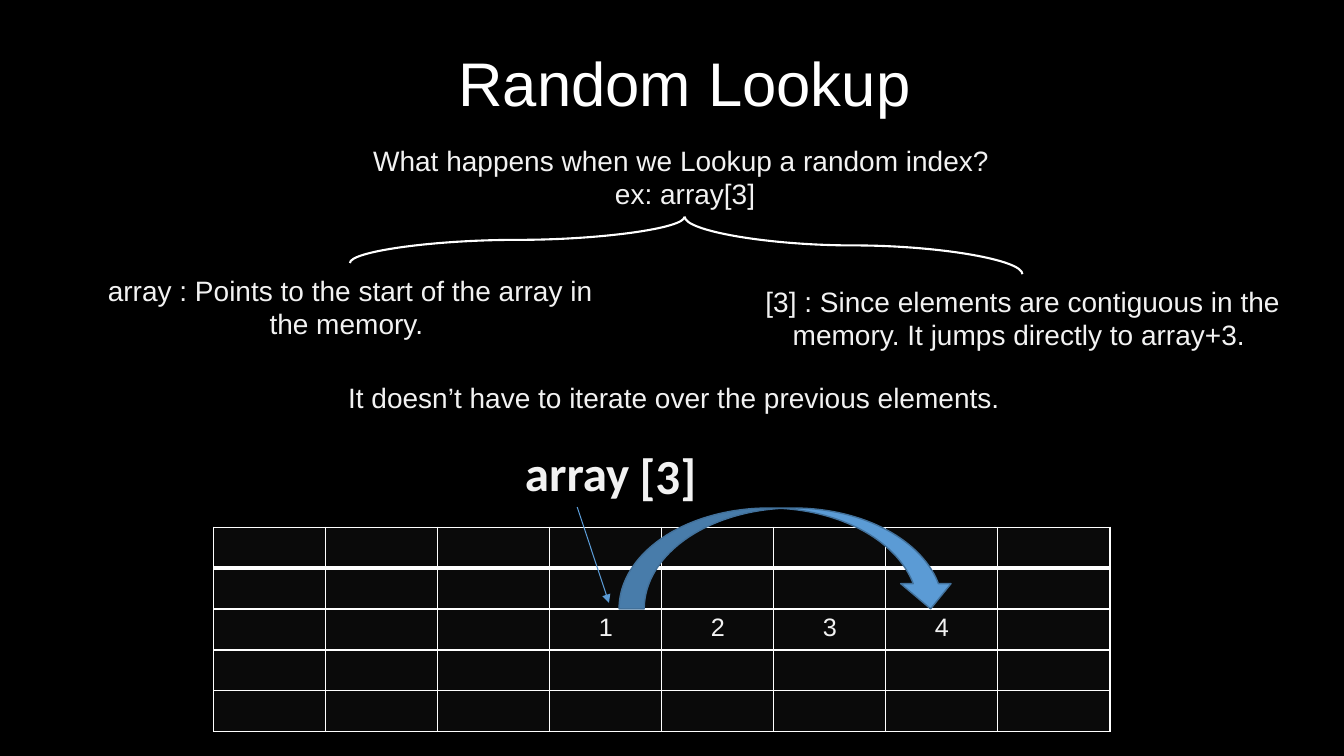
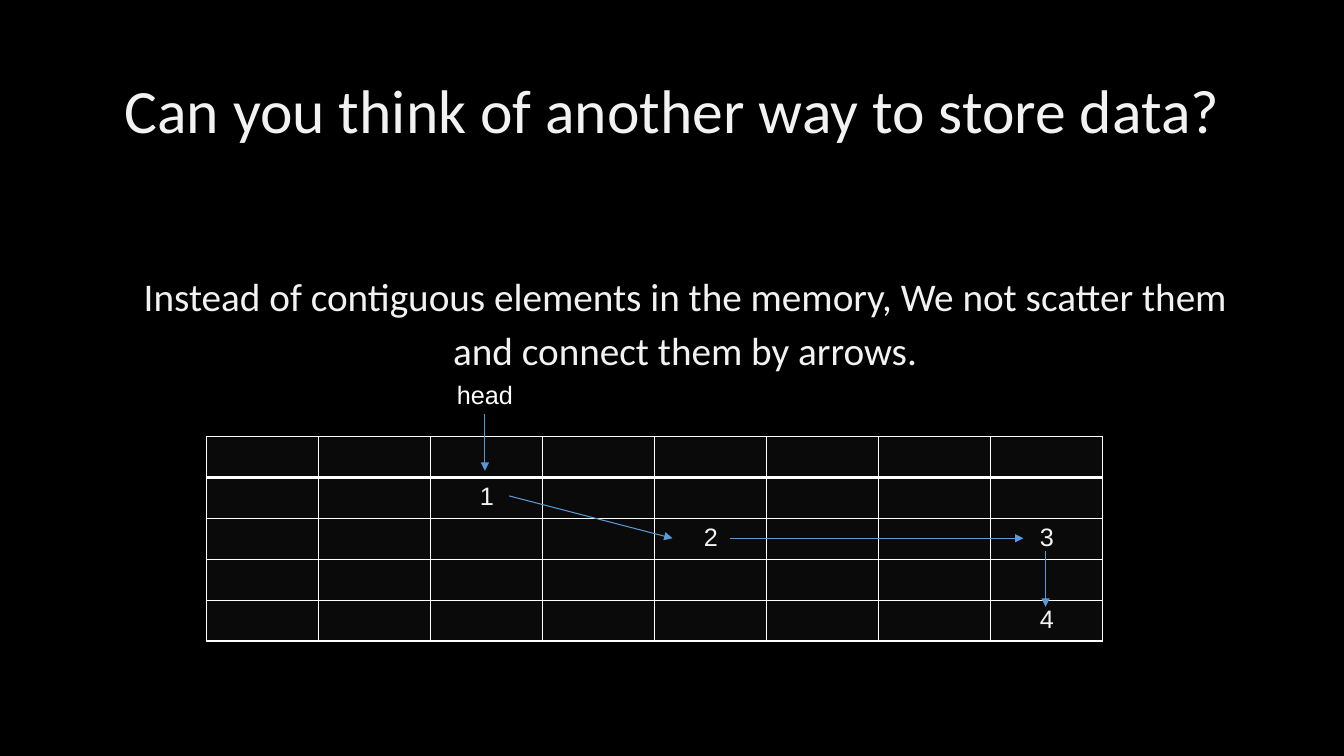
from lxml import etree
from pptx import Presentation
from pptx.dml.color import RGBColor
from pptx.enum.shapes import MSO_CONNECTOR, MSO_SHAPE
from pptx.enum.text import MSO_ANCHOR, MSO_AUTO_SIZE, PP_ALIGN
from pptx.oxml.ns import qn
from pptx.util import Inches, Pt

STRAIGHT, CURVE = MSO_CONNECTOR.STRAIGHT, MSO_CONNECTOR.CURVE
DOWN_ARROW = MSO_SHAPE.CURVED_DOWN_ARROW
CENTER, MIDDLE, NO_FIT = PP_ALIGN.CENTER, MSO_ANCHOR.MIDDLE, MSO_AUTO_SIZE.NONE
rgb = RGBColor.from_string

BLACK, CELL, WHITE, LIGHT = "000000", "0A0A0A", "FFFFFF", "F2F2F2"
BLUE, HEAD_BLUE, DARK_BLUE = "5B9BD5", "5698D3", "42719B"
ROWS, COLS, TABLE_W, TABLE_H = 5, 8, 8.89, 2.03


def style_text(tf, size, color=LIGHT, font="Arial", bold=False):
    tf.auto_size = NO_FIT
    for p in tf.paragraphs:
        p.alignment = CENTER
        for r in p.runs:
            r.font.size, r.font.name, r.font.bold = Pt(size), font, bold
            r.font.color.rgb = rgb(color)


def add_line(s, kind, begin, end, color, width):
    c = s.shapes.add_connector(kind, *map(Inches, begin + end))
    c.line.color.rgb = rgb(color)
    c.line.width = Pt(width)
    etree.SubElement(c.element.spPr, qn("a:effectLst"))
    return c


# Slide content: boxes are (text, rect, size, colour, font, bold, top inset),
# arrows are (begin, end, colour, label the arrow starts from)
slides = [
    dict(
        layout=5, title="Random Lookup", title_at=(1.04, 0.13),
        title_font="Arial", title_color=WHITE, table_at=(2.12, 5.23),
        cells={(2, 3): "1", (2, 4): "2", (2, 5): "3", (2, 6): "4"},
        boxes=[
            ("What happens when we Lookup a random index? \nex: array[3]",
             (2.35, 1.37, 8.89, 0.77), 20, LIGHT, "Arial", False, 0.05),
            ("array", (4.79, 4.34, 1.87, 0.69), 35, LIGHT, "Calibri", True, 0.05),
            ("[3]", (6.22, 4.37, 0.81, 0.69), 35, LIGHT, "Calibri", True, 0.05),
            ("array : Points to the start of the array in the memory. ",
             (0.74, 2.61, 5.47, 1.11), 20, LIGHT, "Arial", False, 0.1),
            ("[3] : Since elements are contiguous in the memory. "
             "It jumps directly to array+3. ",
             (7.41, 2.72, 5.47, 0.88), 20, LIGHT, "Arial", False, 0.1),
            ("It doesn’t have to iterate over the previous elements. ",
             (0.57, 3.68, 12.31, 0.54), 20, LIGHT, "Arial", False, 0.1),
        ],
        arrows=[((5.73, 5.03), (6.04, 5.98), BLUE, "array")],
    ),
    dict(
        layout=1, title="Can you think of another way to store data?",
        title_at=(0.92, 0.4), title_font="Calibri", title_color=LIGHT,
        table_at=(2.05, 4.33),
        cells={(1, 2): "1", (2, 4): "2", (2, 7): "3", (4, 7): "4"},
        boxes=[("head", (4.43, 3.71, 0.76, 0.4), 18, WHITE, "Arial", False, 0.05)],
        arrows=[
            ((5.05, 4.92), (6.67, 5.34), BLUE, None),
            ((7.24, 5.34), (10.15, 5.34), BLUE, None),
            ((10.37, 5.47), (10.37, 6.02), BLUE, None),
            ((4.81, 4.11), (4.81, 4.67), HEAD_BLUE, "head"),
        ],
    ),
]

prs = Presentation()
prs.slide_width, prs.slide_height = Inches(13.33), Inches(7.5)
fill = prs.slide_master.background.fill
fill.solid()
fill.fore_color.rgb = rgb(BLACK)

for d in slides:
    s = prs.slides.add_slide(prs.slide_layouts[d["layout"]])

    # Title
    title = s.shapes.title
    title.left, title.top = map(Inches, d["title_at"])
    title.width, title.height = Inches(11.5), Inches(1.45)
    tf = title.text_frame
    tf.text = d["title"]
    tf.vertical_anchor = MIDDLE
    tf.paragraphs[0].line_spacing = 0.9
    style_text(tf, 44, d["title_color"], d["title_font"])

    # Memory grid with a thick rule under its first row
    rect = d["table_at"] + (TABLE_W, TABLE_H)
    table = s.shapes.add_table(ROWS, COLS, *map(Inches, rect)).table
    table.first_row = table.horz_banding = False
    for row in range(ROWS):
        for col in range(COLS):
            cell = table.cell(row, col)
            tcPr = cell._tc.get_or_add_tcPr()
            thick = {0: "lnB", 1: "lnT"}.get(row)
            for side in ("lnL", "lnR", "lnT", "lnB"):
                width = Pt(3 if side == thick else 1)
                ln = etree.SubElement(tcPr, qn("a:" + side), w=str(width))
                solid = etree.SubElement(ln, qn("a:solidFill"))
                etree.SubElement(solid, qn("a:srgbClr"), val=WHITE)
            cell.fill.solid()
            cell.fill.fore_color.rgb = rgb(CELL)
            if (row, col) in d["cells"]:
                tf = cell.text_frame
                tf.text = d["cells"][row, col]
                p = tf.paragraphs[0]
                p.alignment = CENTER
                p.runs[0].font.size, p.runs[0].font.name = Pt(18), "Arial"
                p.runs[0].font.color.rgb = rgb(LIGHT)

    # Text boxes
    labels = {}
    for text, rect, size, color, font, bold, inset in d["boxes"]:
        box = s.shapes.add_textbox(*map(Inches, rect))
        tf = box.text_frame
        tf.text = text
        tf.word_wrap = text != "head"
        tf.margin_top = tf.margin_bottom = Inches(inset)
        style_text(tf, size, color, font, bold)
        labels[text] = box

    # Straight arrows
    for begin, end, color, label in d["arrows"]:
        c = add_line(s, STRAIGHT, begin, end, color, 0.75)
        if label:
            c.begin_connect(labels[label], 2)
        ln = c.element.spPr.find(qn("a:ln"))
        etree.SubElement(ln, qn("a:tailEnd"), type="triangle")

# Slide 1: curves from the question to both explanations, turned to leave downwards
s = prs.slides[0]
x1, y1 = 6.79, 2.15
for x2, y2, angle in ((3.47, 2.61, 90), (10.14, 2.72, 270)):
    mid_x, mid_y = (x1 + x2) / 2, (y1 + y2) / 2
    dx, dy = (y2 - y1) / 2, abs(x2 - x1) / 2
    if angle == 270:
        dx = -dx
    c = add_line(s, CURVE, (mid_x - dx, mid_y - dy), (mid_x + dx, mid_y + dy), WHITE, 1.5)
    c.element.spPr.find(qn("a:xfrm")).set("rot", str(angle * 60000))

# Slide 1: jump from the first element to the fourth
jump = s.shapes.add_shape(DOWN_ARROW, *map(Inches, (6.14, 5.04, 3.34, 1)))
jump.shadow.inherit = False
jump.fill.solid()
jump.fill.fore_color.rgb = rgb(BLUE)
jump.line.color.rgb = rgb(DARK_BLUE)
jump.line.width = Pt(1)

# Slide 2: body text without a bullet
body = prs.slides[1].placeholders[1]
body.left, body.top, body.width, body.height = map(Inches, (0.92, 2.58, 11.5, 1.31))
tf = body.text_frame
tf.text = ("Instead of contiguous elements in the memory, "
           "We not scatter them and connect them by arrows.")
p = tf.paragraphs[0]
p.line_spacing, p.space_before = 1.15, Pt(0)
style_text(tf, 28, font="Calibri")
pPr = p._p.get_or_add_pPr()
pPr.set("marL", str(Inches(0.25)))
pPr.set("indent", "0")
etree.SubElement(pPr, qn("a:buNone"))

prs.save("out.pptx")
